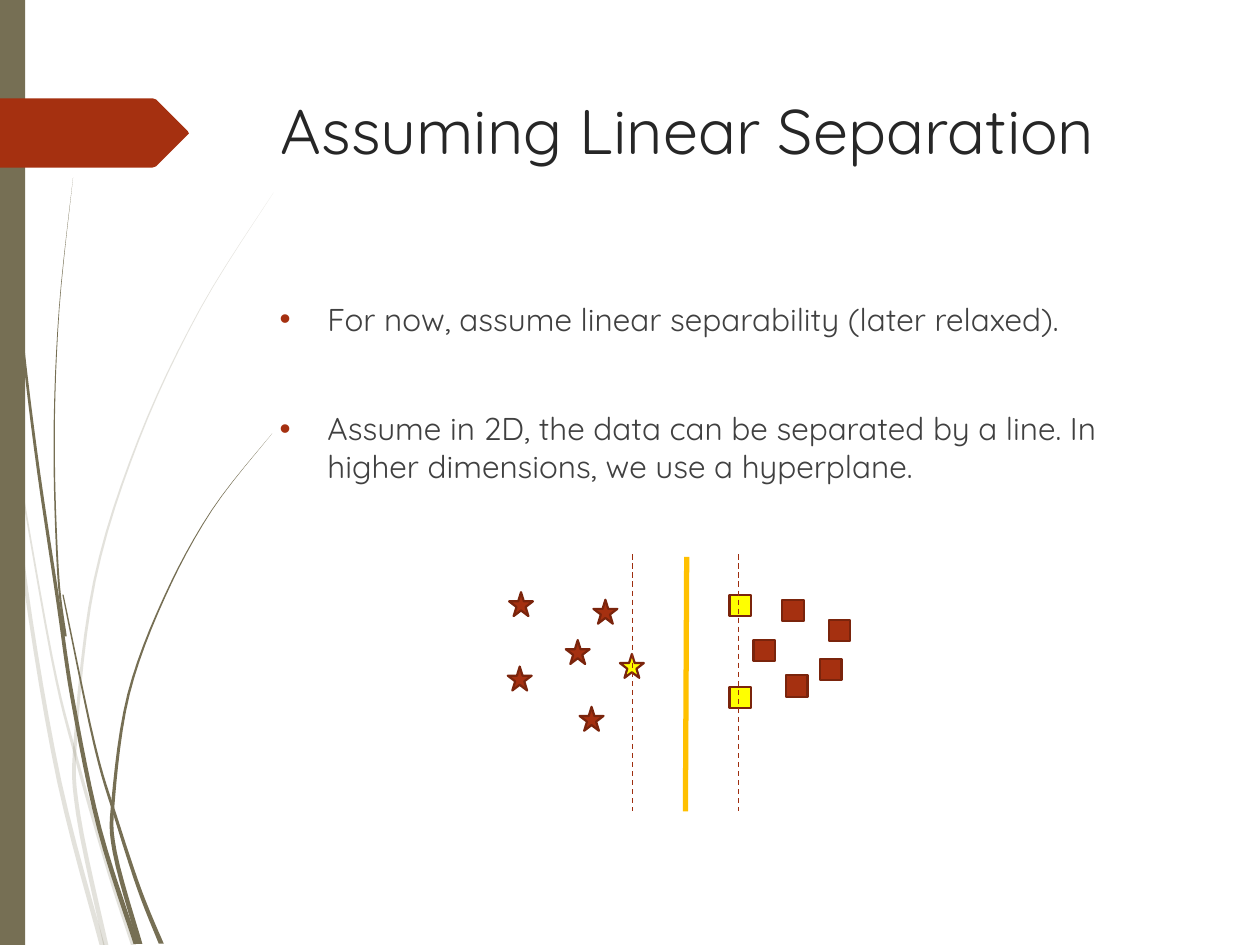
import dataclasses

import lxml.etree
import pptx
import pptx.dml.color
import pptx.enum.dml
import pptx.enum.shapes
import pptx.oxml.ns
import pptx.util

EMU_PER_PX = 9144
CURVE_STEPS = 6
SHAPE = pptx.enum.shapes.MSO_SHAPE
DASH = pptx.enum.dml.MSO_LINE.DASH


@dataclasses.dataclass(frozen=True)
class Theme:
    font: str = "Quicksand"
    olive: str = "766F54"
    red: str = "A53010"
    outline: str = "7A240C"
    margin: str = "9E2E0F"
    gold: str = "FFC000"
    yellow: str = "FFFF00"
    title: str = "262626"
    body: str = "404040"
    title_size: int = 36
    body_size: int = 18
    outline_width: float = 1.25
    margin_width: float = 0.75
    separator_width: int = 3


THEME = Theme()

PALE_WISPS = [
    (2, 4, [(0, 290), (10, 360), (21, 469), (47, 620), (81, 750)]),
    (1, 4, [(10, 345), (41, 521), (61, 603), (87, 693), (106, 750)]),
    (0, 4, [(217, 153), (159, 245), (110, 349), (75, 461), (60, 585), (62, 646), (84, 750)]),
]
OLIVE_WISPS = [
    (1, 4, [(2, 0), (5, 110), (14, 233), (28, 355), (46, 477), (58, 557), (79, 658), (108, 749)]),
    (1, 4, [(50, 472), (75, 591), (92, 649), (111, 707), (128, 749)]),
    (0, 2, [(58, 141), (47, 245), (43, 349), (46, 453), (52, 505)]),
    (0, 4, [(216, 344), (168, 405), (130, 475), (102, 551), (90, 633), (91, 676), (111, 749)]),
]

TAG = [(0, 78), (121, 78), (124, 79), (149, 104), (150, 106), (149, 107), (124, 132), (121, 133), (0, 133)]
STARS = [(404, 470), (449, 508), (403, 529), (471, 476), (460, 561)]
SUPPORT_STARS = [(492, 519)]
SQUARES = [(621, 476), (651, 523), (598, 508), (624, 536), (658, 492)]
SUPPORT_SQUARES = [(579, 545), (579, 472)]


def px(length):
    return pptx.util.Emu(round(length * EMU_PER_PX))


def rgb(color):
    return pptx.dml.color.RGBColor.from_string(color)


def paint(shape, fill, line=None):
    shape.shadow.inherit = False
    shape.fill.solid()
    shape.fill.fore_color.rgb = rgb(fill)
    if line:
        shape.line.color.rgb = rgb(line)
        shape.line.width = pptx.util.Pt(THEME.outline_width)
    else:
        shape.line.fill.background()


def add_outline(shapes, points, fill):
    start, *rest = [(px(x), px(y)) for x, y in points]
    builder = shapes.build_freeform(*start, scale=1.0)
    builder.add_line_segments(rest, close=True)
    shape = builder.convert_to_shape()
    paint(shape, fill)
    return shape


def spline_value(a, b, c, d, t):
    return b + t / 2 * (c - a + t * (2 * a - 5 * b + 4 * c - d + t * (3 * (b - c) + d - a)))


def smooth_spine(knots):
    padded = [knots[0], *knots, knots[-1]]
    points = []
    for window in zip(padded, padded[1:], padded[2:], padded[3:]):
        for step in range(CURVE_STEPS):
            points.append(tuple(spline_value(*axis, step / CURVE_STEPS) for axis in zip(*window)))
    return points + [knots[-1]]


def ribbon(tip_width, base_width, knots):
    spine = smooth_spine(knots)
    left, right = [], []
    for index, (x, y) in enumerate(spine):
        half = (tip_width + (base_width - tip_width) * index / (len(spine) - 1)) / 2
        left.append((x - half, y))
        right.append((x + half, y))
    return left + right[::-1]


def add_wisps(slide, wisps, opacity=None):
    group = slide.shapes.add_group_shape()
    for wisp in wisps:
        shape = add_outline(group.shapes, ribbon(*wisp), THEME.olive)
        if opacity:
            color = shape._element.spPr.find(".//" + pptx.oxml.ns.qn("a:srgbClr"))
            lxml.etree.SubElement(color, pptx.oxml.ns.qn("a:alpha"), val=str(opacity * 1000))


def add_text(slide, box, paragraphs, size, color):
    text_frame = slide.shapes.add_textbox(*map(px, box)).text_frame
    text_frame.word_wrap = True
    text_frame.text = "\n".join(paragraphs)
    for paragraph in text_frame.paragraphs:
        font = paragraph.runs[0].font
        font.name, font.size, font.color.rgb = THEME.font, pptx.util.Pt(size), rgb(color)
    return text_frame.paragraphs


def add_bullet(paragraph, space_before):
    paragraph.space_before = pptx.util.Pt(space_before)
    properties = paragraph._p.get_or_add_pPr()
    properties.set("marL", str(px(38)))
    properties.set("indent", str(px(-38)))
    qn = pptx.oxml.ns.qn
    color = lxml.etree.SubElement(properties, qn("a:buClr"))
    lxml.etree.SubElement(color, qn("a:srgbClr"), val=THEME.red)
    lxml.etree.SubElement(properties, qn("a:buFont"), typeface="Arial")
    lxml.etree.SubElement(properties, qn("a:buChar"), char="•")


def add_markers(shapes, kind, places, size, fill):
    for left, top in places:
        paint(shapes.add_shape(kind, px(left), px(top), px(size), px(size)), fill, THEME.outline)


def add_line(shapes, start, end, color, width, dash=None):
    straight = pptx.enum.shapes.MSO_CONNECTOR.STRAIGHT
    connector = shapes.add_connector(straight, *map(px, start + end))
    connector.line.color.rgb = rgb(color)
    connector.line.width = pptx.util.Pt(width)
    if dash:
        connector.line.dash_style = dash
    lxml.etree.SubElement(connector._element.spPr, pptx.oxml.ns.qn("a:effectLst"))


def add_separation_diagram(slide):
    shapes = slide.shapes.add_group_shape().shapes
    add_markers(shapes, SHAPE.STAR_5_POINT, STARS, 19, THEME.red)
    add_markers(shapes, SHAPE.STAR_5_POINT, SUPPORT_STARS, 19, THEME.yellow)
    add_markers(shapes, SHAPE.RECTANGLE, SQUARES, 17, THEME.red)
    add_markers(shapes, SHAPE.RECTANGLE, SUPPORT_SQUARES, 17, THEME.yellow)
    add_line(shapes, (545, 442), (544, 644), THEME.gold, THEME.separator_width)
    for x in (586, 502):
        add_line(shapes, (x, 440), (x, 644), THEME.margin, THEME.margin_width, DASH)


def main():
    presentation = pptx.Presentation()
    presentation.slide_width, presentation.slide_height = px(1000), px(750)
    slide = presentation.slides.add_slide(presentation.slide_layouts[6])
    add_wisps(slide, PALE_WISPS, opacity=20)
    add_wisps(slide, OLIVE_WISPS)
    paint(slide.shapes.add_shape(SHAPE.RECTANGLE, 0, 0, px(20), px(750)), THEME.olive)
    add_outline(slide.shapes, TAG, THEME.red)
    add_text(slide, (213, 68, 721, 140), ["Assuming Linear Separation"], THEME.title_size, THEME.title)
    bullets = add_text(slide, (212, 233, 721, 413), [
        "For now, assume linear separability (later relaxed).",
        "Assume in 2D, the data can be separated by a line. In higher dimensions, we use a hyperplane.",
    ], THEME.body_size, THEME.body)
    for paragraph, space_before in zip(bullets, (10, 41)):
        add_bullet(paragraph, space_before)
    add_separation_diagram(slide)
    presentation.save("out.pptx")


if __name__ == "__main__":
    main()
